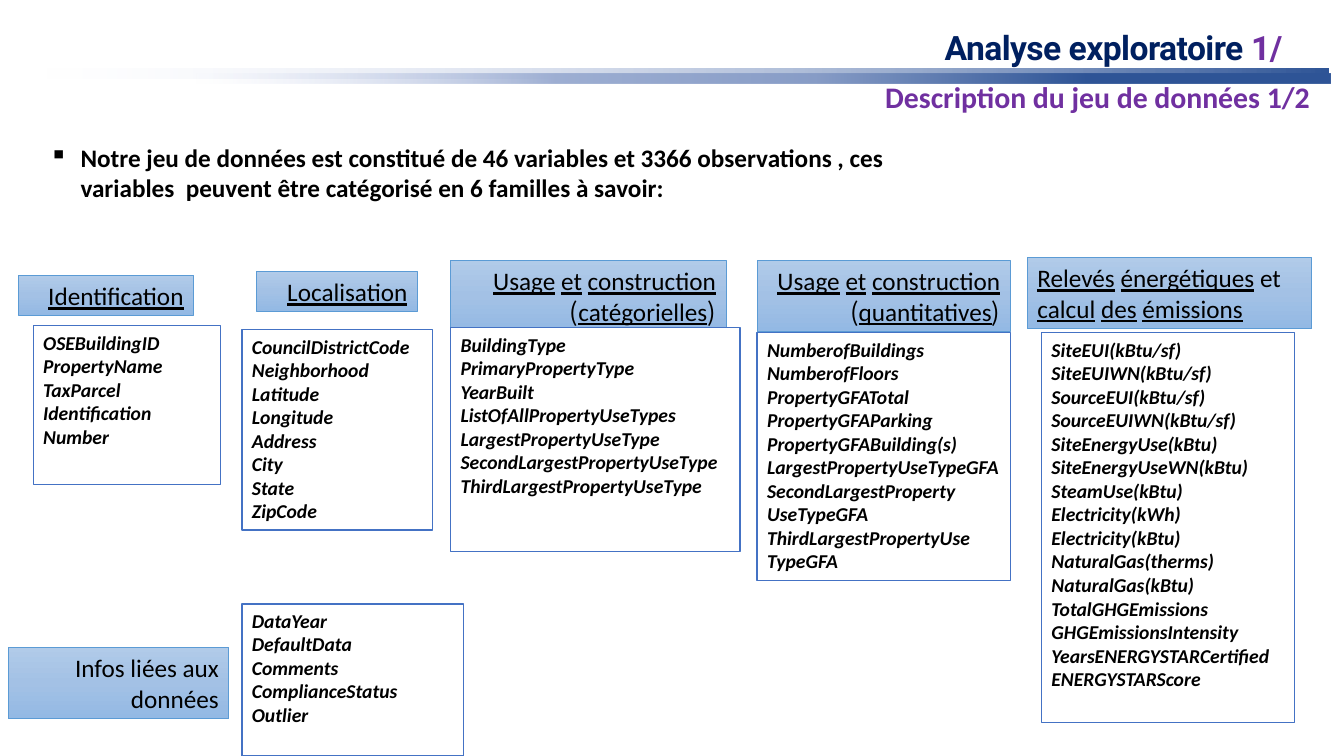
import pptx
import pptx.util
import pptx.dml.color
import pptx.enum.shapes
import pptx.enum.text
import pptx.oxml
from dataclasses import dataclass
from pptx.oxml.ns import nsdecls, qn

Inches, Pt = pptx.util.Inches, pptx.util.Pt
Align = pptx.enum.text.PP_ALIGN
RIGHT, LEFT = Align.RIGHT, Align.LEFT


@dataclass(frozen=True)
class Theme:
    font: str = "Calibri"
    title_font: str = "Roboto"
    sign_font: str = "Noto Sans CJK JP"
    ink: str = "000000"
    paper: str = "FFFFFF"
    navy: str = "002060"
    purple: str = "7030A0"
    edge: str = "4472C4"
    head_edge: str = "5B9BD5"
    # Gradient stops: position, colour, opacity in percent
    head_fill: tuple = ((0, "B1CBE9", 100), (50, "A3C1E5", 100),
                        (100, "93B9E4", 100))
    bar_fill: tuple = ((0, "2F5597", 100), (100, "E0E5F7", 0))
    band_fill: tuple = ((19, "2F5597", 100), (40, "889DC7", 100),
                        (60, "9EAFD3", 100), (88, "E0E5F7", 0))
    title: float = 24
    sub: float = 21.3
    text: float = 18
    item: float = 14


T = Theme()

# Each family: head box, head text (underlined between _), alignment,
# list box, variables
FAMILIES = [
    ((0.18, 2.73, 1.74, 0.4), "_Identification_", RIGHT,
     (0.33, 3.23, 1.86, 1.58),
     "OSEBuildingID PropertyName TaxParcel Identification Number"),
    ((0.08, 6.42, 2.19, 0.71), "Infos liées aux données", RIGHT,
     (2.4, 5.99, 2.2, 1.51),
     "DataYear DefaultData Comments ComplianceStatus Outlier"),
    ((2.54, 2.69, 1.6, 0.4), "_Localisation_", RIGHT,
     (2.4, 3.27, 1.89, 1.99),
     "CouncilDistrictCode Neighborhood Latitude Longitude Address City "
     "State ZipCode"),
    ((4.47, 2.58, 2.73, 0.71),
     "_Usage_ _et_ _construction_ (_catégorielles_)", RIGHT,
     (4.47, 3.25, 2.87, 2.22),
     "BuildingType PrimaryPropertyType YearBuilt ListOfAllPropertyUseTypes "
     "LargestPropertyUseType SecondLargestPropertyUseType "
     "ThirdLargestPropertyUseType"),
    ((7.51, 2.58, 2.51, 0.71),
     "_Usage_ _et_ _construction_ (_quantitatives_)", RIGHT,
     (7.51, 3.3, 2.51, 2.46),
     "NumberofBuildings NumberofFloors PropertyGFATotal PropertyGFAParking "
     "PropertyGFABuilding(s) LargestPropertyUseTypeGFA "
     "SecondLargestProperty UseTypeGFA ThirdLargestPropertyUse TypeGFA"),
    ((10.19, 2.55, 2.82, 0.71),
     "_Relevés_ _énergétiques_ et _calcul_ _des_ _émissions_", LEFT,
     (10.33, 3.3, 2.51, 3.87),
     "SiteEUI(kBtu/sf) SiteEUIWN(kBtu/sf) SourceEUI(kBtu/sf) "
     "SourceEUIWN(kBtu/sf) SiteEnergyUse(kBtu) SiteEnergyUseWN(kBtu) "
     "SteamUse(kBtu) Electricity(kWh) Electricity(kBtu) NaturalGas(therms) "
     "NaturalGas(kBtu) TotalGHGEmissions GHGEmissionsIntensity "
     "YearsENERGYSTARCertified ENERGYSTARScore"),
]


def rgb(color):
    return pptx.dml.color.RGBColor.from_string(color)


def add_run(para, text, size, color=T.ink, **form):
    run = para.add_run()
    run.text = text
    look = {"name": T.font, "size": Pt(size)} | form
    for key, value in look.items():
        setattr(run.font, key, value)
    run.font.color.rgb = rgb(color)
    return run


def blend(shape, stops, angle):
    """Fill with a linear gradient, angle clockwise in degrees."""
    shape.fill.gradient()
    grad = shape._element.spPr.find(qn("a:gradFill"))
    marks = "".join(
        f'<a:gs pos="{pos * 1000}"><a:srgbClr val="{color}">'
        f'<a:alpha val="{alpha * 1000}"/></a:srgbClr></a:gs>'
        for pos, color, alpha in stops)
    for child in list(grad):
        grad.remove(child)
    for xml in (f'<a:gsLst {nsdecls("a")}>{marks}</a:gsLst>',
                f'<a:lin {nsdecls("a")} ang="{angle * 60000}" scaled="0"/>'):
        grad.append(pptx.oxml.parse_xml(xml))


def add_rect(slide, box, edge=None, width=1):
    shape = slide.shapes.add_shape(
        pptx.enum.shapes.MSO_SHAPE.RECTANGLE, *map(Inches, box))
    shape.shadow.inherit = False
    if edge:
        shape.line.color.rgb = rgb(edge)
        shape.line.width = Pt(width)
    else:
        shape.line.fill.background()
    shape.text_frame.word_wrap = True
    shape.text_frame.vertical_anchor = pptx.enum.text.MSO_ANCHOR.TOP
    return shape


def add_label(slide, box, inset=None):
    frame = slide.shapes.add_textbox(*map(Inches, box)).text_frame
    frame.word_wrap = True
    if inset is not None:
        for side in ("left", "top", "right", "bottom"):
            setattr(frame, f"margin_{side}", Inches(inset))
    return frame.paragraphs[0]


def add_intro(slide, box):
    para = add_label(slide, box)
    props = para._p.get_or_add_pPr()
    props.set("marL", str(Inches(0.31)))
    props.set("indent", str(-Inches(0.31)))
    props.append(pptx.oxml.parse_xml(
        f'<a:buChar {nsdecls("a")} char="▪"/>'))
    add_run(para, "Notre jeu de données est constitué de 46 variables et 3366 "
            "observations , ces variables  peuvent être catégorisé en 6 "
            "familles à savoir:", T.text, bold=True)


def add_head(slide, box, text, align):
    shape = add_rect(slide, box, T.head_edge, 0.5)
    blend(shape, T.head_fill, 90)
    para = shape.text_frame.paragraphs[0]
    para.alignment = align
    para.line_spacing = Pt(22)
    for spot, part in enumerate(text.split("_")):
        if part:
            sign = part.strip() in ("(", ")")
            add_run(para, part, T.text, underline=spot % 2 == 1,
                    name=T.sign_font if sign else T.font)


def add_list(slide, box, names):
    shape = add_rect(slide, box, T.edge)
    shape.fill.solid()
    shape.fill.fore_color.rgb = rgb(T.paper)
    frame = shape.text_frame
    for spot, name in enumerate(names.split()):
        para = frame.add_paragraph() if spot else frame.paragraphs[0]
        para.alignment = LEFT
        add_run(para, name, T.item, bold=True, italic=True)


def add_banner(slide, box):
    left, top, width, height = box
    # Title
    para = add_label(slide, (left + 8.98, top, 3.81, 0.36), 0)
    para.line_spacing = Pt(26)
    for text, color in (("Analyse exploratoire ", T.navy), ("1/", T.purple)):
        run = add_run(para, text, T.title, color, name=T.title_font, bold=True)
        run._r.get_or_add_rPr().set("spc", "-40")
    # Upper bar
    blend(add_rect(slide, (left, top + 0.37, width, 0.1)), T.bar_fill, 180)
    # Subtitle
    para = add_label(slide, (left + 8.39, top + 0.47, 4.27, 0.36), 0)
    add_run(para, "Description du jeu de données 1/2", T.sub, T.purple,
            bold=True)
    # Lower bar
    blend(add_rect(slide, (left + 0.02, top + 0.42, width, 0.1)),
          T.band_fill, 180)


def main():
    deck = pptx.Presentation()
    deck.slide_width, deck.slide_height = Inches(13.33), Inches(7.5)
    slide = deck.slides.add_slide(deck.slide_layouts[6])
    add_intro(slide, (0.39, 1.36, 8.79, 0.71))
    # Heads lie behind the lists
    for box, text, align, _, _ in FAMILIES:
        add_head(slide, box, text, align)
    for _, _, _, box, names in FAMILIES:
        add_list(slide, box, names)
    add_banner(slide, (0.39, 0.31, 12.79, 0.83))
    deck.save("out.pptx")


if __name__ == "__main__":
    main()
